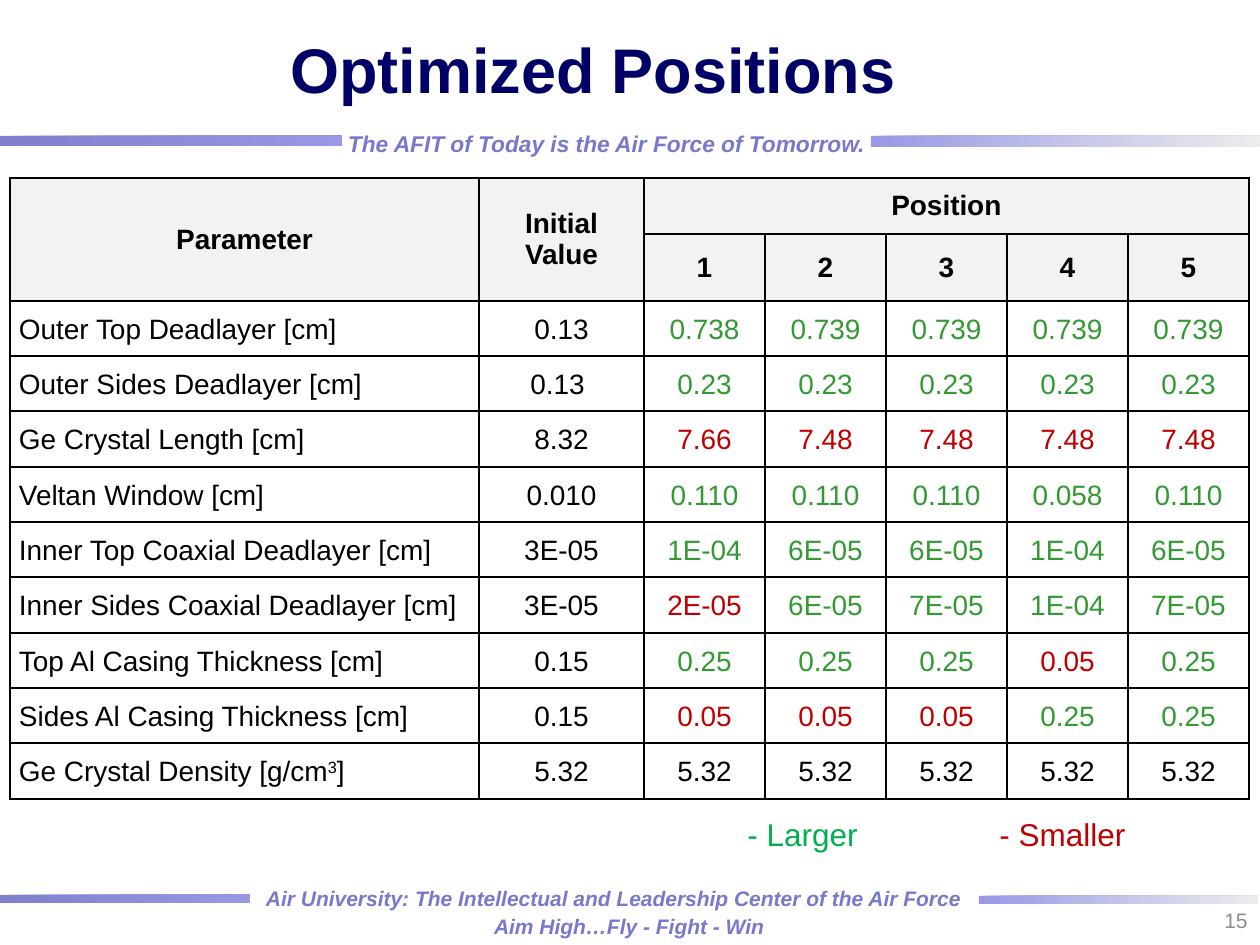
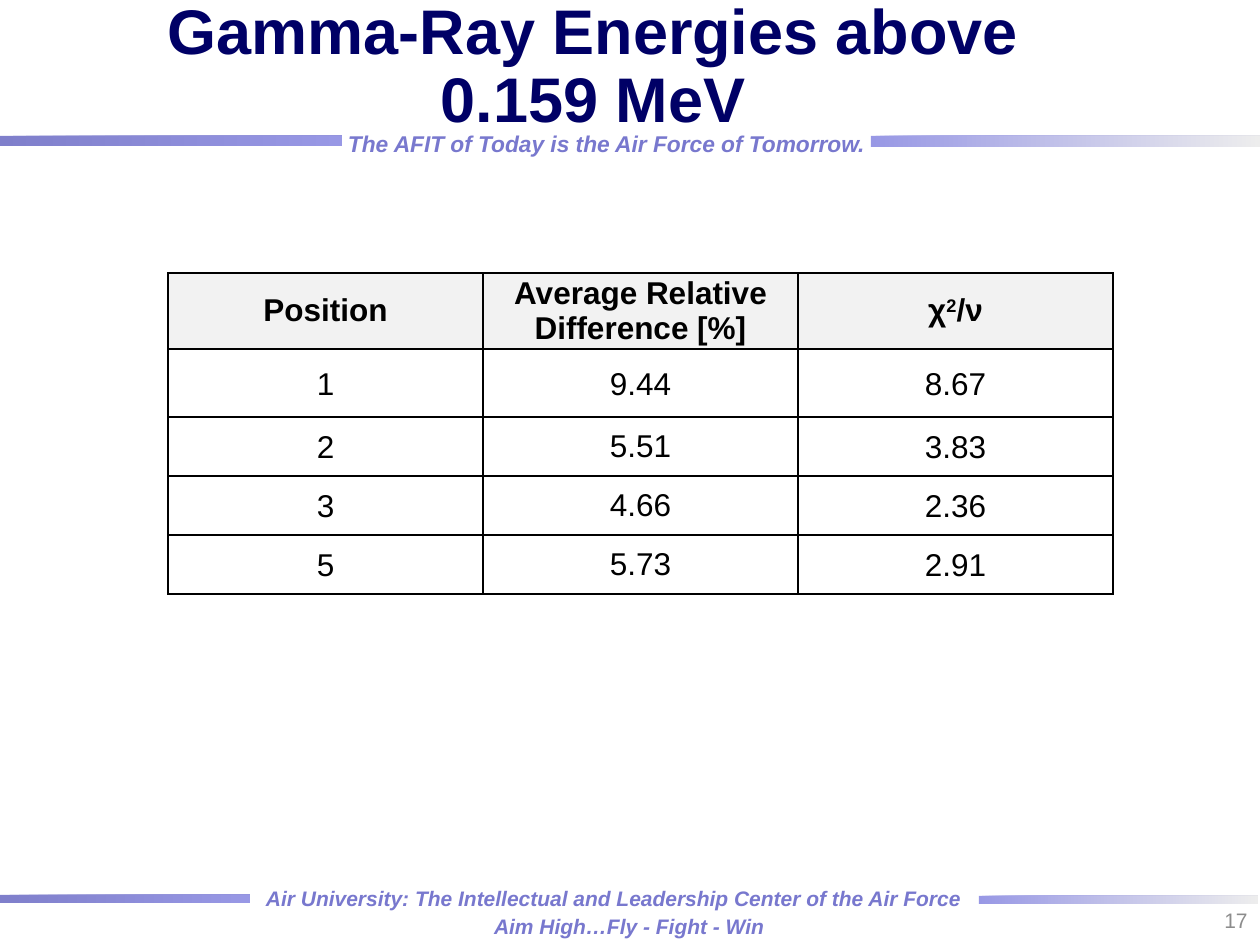
from lxml import etree
from pptx import Presentation
from pptx import util as u
from pptx.dml.color import RGBColor
from pptx.enum import shapes, text
from pptx.oxml.ns import qn

FONT = "Arial"
NAVY, SLOGAN, GREY, BLACK = "000066", "7878CE", "8C8C8C", "000000"
LARGER, SMALLER, LEGEND_GREEN = "339933", "C00000", "00B050"
HEADER, WHITE = "F2F2F2", "FFFFFF"
LEFT, CENTER, RIGHT = text.PP_ALIGN.LEFT, text.PP_ALIGN.CENTER, text.PP_ALIGN.RIGHT
MIDDLE = text.MSO_ANCHOR.MIDDLE
rgb = RGBColor.from_string


def px(*lengths):
    """Convert px (126 to the inch) to EMU."""
    return [u.Emu(round(n * 914400 / 126)) for n in lengths]


def write(tf, words, size, color, align=LEFT, bold=False, italic=False, spacing=None):
    """Add runs to the first paragraph; ^ switches superscript on and off."""
    p = tf.paragraphs[0]
    p.alignment = align
    if spacing:
        p.line_spacing = spacing
    for i, part in enumerate(words.split("^")):
        r = p.add_run()
        r.text = part
        r.font.name, r.font.size = FONT, u.Pt(size)
        r.font.bold, r.font.italic = bold, italic
        r.font.color.rgb = rgb(color)
        if i % 2:
            r.font._element.set("baseline", "30000")


# Shared bands: box, start colour, end colour
bands = [
    ((0, 895, 250, 8), "000099", "3333CC"),
    ((979, 896, 279, 8), "3333CC", "DDDDDD"),
    ((871, 136, 389, 11), "3333CC", "DDDDDD"),
    ((0, 136, 342, 10), "000099", "3333CC"),
]
# Shared slogans: box, words, size
slogans = [
    ((255, 880, 725, 37), "Air University: The Intellectual and Leadership Center of the Air Force", 12),
    ((483, 908, 297, 36), "Aim High…Fly - Fight - Win", 12),
    ((337, 124, 548, 39), "The AFIT of Today is the Air Force of Tomorrow.", 13),
]

positions_rows = [
    ["Parameter", "Initial Value", "Position", "", "", "", ""],
    ["", "", "1", "2", "3", "4", "5"],
    ["Outer Top Deadlayer [cm]", "0.13", "0.738", "0.739", "0.739", "0.739", "0.739"],
    ["Outer Sides Deadlayer [cm]", "0.13 ", "0.23", "0.23", "0.23", "0.23", "0.23"],
    ["Ge Crystal Length [cm]", "8.32", "7.66", "7.48", "7.48", "7.48", "7.48"],
    ["Veltan Window [cm]", "0.010", "0.110", "0.110", "0.110", "0.058", "0.110"],
    ["Inner Top Coaxial Deadlayer [cm]", "3E-05", "1E-04", "6E-05", "6E-05", "1E-04", "6E-05"],
    ["Inner Sides Coaxial Deadlayer [cm]", "3E-05", "2E-05", "6E-05", "7E-05", "1E-04", "7E-05"],
    ["Top Al Casing Thickness [cm]", "0.15", "0.25", "0.25", "0.25", "0.05", "0.25"],
    ["Sides Al Casing Thickness [cm]", "0.15", "0.05", "0.05", "0.05", "0.25", "0.25"],
    ["Ge Crystal Density [g/cm^3^]", "5.32", "5.32", "5.32", "5.32", "5.32", "5.32"],
]
energies_rows = [
    ["Position", "Average Relative Difference [%]", "χ^2^/ν"],
    ["1", "9.44", "8.67"],
    ["2", "5.51", "3.83"],
    ["3", "4.66", "2.36"],
    ["5", "5.73", "2.91"],
]
# title, title spacing, page, rows, table corner, widths, heights, size, header rows, merges
slides = [
    ("Optimized Positions", None, "15", positions_rows, (10, 178),
     [469, 165] + [121] * 5, [56, 66] + [55, 55, 56] * 3, 16, 2,
     [(0, 0, 1, 0), (0, 1, 1, 1), (0, 2, 0, 6)]),
    ("Gamma-Ray Energies above 0.159 MeV", 0.9, "17", energies_rows, (168, 273),
     [315] * 3, [76, 68] + [59] * 3, 18, 1, []),
]

prs = Presentation()
prs.slide_width, prs.slide_height = px(1260, 945)

for title, title_spacing, page, rows, corner, widths, heights, size, headers, merges in slides:
    s = prs.slides.add_slide(prs.slide_layouts[6])

    # Gradient bands
    for box, start, end in bands:
        sp = s.shapes.add_shape(shapes.MSO_SHAPE.RECTANGLE, *px(*box))
        sp.shadow.inherit = False
        sp.line.fill.background()
        sp.fill.gradient()
        sp.fill.gradient_angle = 0
        for stop, color in zip(sp.fill.gradient_stops, (start, end)):
            stop.color.rgb = rgb(color)
        for clr in sp._element.iter(qn("a:srgbClr")):
            etree.SubElement(clr, qn("a:alpha"), val="50000")
        sp._element.spPr.find(qn("a:xfrm")).set("flipV", "1")

    # Slogans
    for box, words, slogan_size in slogans:
        tf = s.shapes.add_textbox(*px(*box)).text_frame
        tf.word_wrap = False
        tf.auto_size = text.MSO_AUTO_SIZE.SHAPE_TO_FIT_TEXT
        tf.margin_left, tf.margin_right, tf.margin_top, tf.margin_bottom = px(11, 11, 6, 6)
        write(tf, words, slogan_size, SLOGAN, bold=True, italic=True)

    # Title and page number
    for box, words, text_size, color, align, bold, spacing in [
        ((136, 0, 914, 136), title, 36, NAVY, CENTER, True, title_spacing),
        ((966, 895, 294, 50), page, 12, GREY, RIGHT, False, None),
    ]:
        tf = s.shapes.add_textbox(*px(*box)).text_frame
        tf.word_wrap = True
        tf.vertical_anchor = MIDDLE
        write(tf, words, text_size, color, align, bold, spacing=spacing)

    # Table
    frame = s.shapes.add_table(len(rows), len(widths), *px(*corner, sum(widths), sum(heights)))
    table = frame.table
    table.first_row = table.horz_banding = False
    for col, width in zip(table.columns, px(*widths)):
        col.width = width
    for row, height in zip(table.rows, px(*heights)):
        row.height = height
    for top, left, bottom, right in merges:
        table.cell(top, left).merge(table.cell(bottom, right))

    for i, row in enumerate(rows):
        for j, words in enumerate(row):
            cell = table.cell(i, j)
            cell.fill.solid()
            cell.fill.fore_color.rgb = rgb(HEADER if i < headers else WHITE)
            cell.vertical_anchor = MIDDLE
            cell.margin_left, cell.margin_right, cell.margin_top, cell.margin_bottom = px(9, 9, 0, 0)
            tcPr = cell._tc.get_or_add_tcPr()
            for k, side in enumerate(("lnL", "lnR", "lnT", "lnB")):
                ln = etree.Element(qn("a:" + side), w="12700")
                fill = etree.SubElement(ln, qn("a:solidFill"))
                etree.SubElement(fill, qn("a:srgbClr"), val=BLACK)
                tcPr.insert(k, ln)
            if not words:
                continue
            # Positions are coloured against the initial value
            color, align = BLACK, CENTER
            spacing = 1.0 if i < headers else 1.07
            if rows is positions_rows and i >= headers:
                if j == 0:
                    align = LEFT
                elif float(words) > float(row[1]):
                    color = LARGER
                elif float(words) < float(row[1]):
                    color = SMALLER
            elif rows is energies_rows and j == 1 and i > 1:
                spacing = 1.0
            write(cell.text_frame, words, size, color, align, i < headers, spacing=spacing)

# Legend under the positions table, with tabs one inch apart
tf = prs.slides[0].shapes.add_textbox(*px(735, 809, 441, 50)).text_frame
tf.word_wrap = True
write(tf, "- Larger\t\t", 18, LEGEND_GREEN)
write(tf, "- Smaller", 18, SMALLER)
tf.paragraphs[0]._p.get_or_add_pPr().set("defTabSz", "914400")

prs.save("out.pptx")
